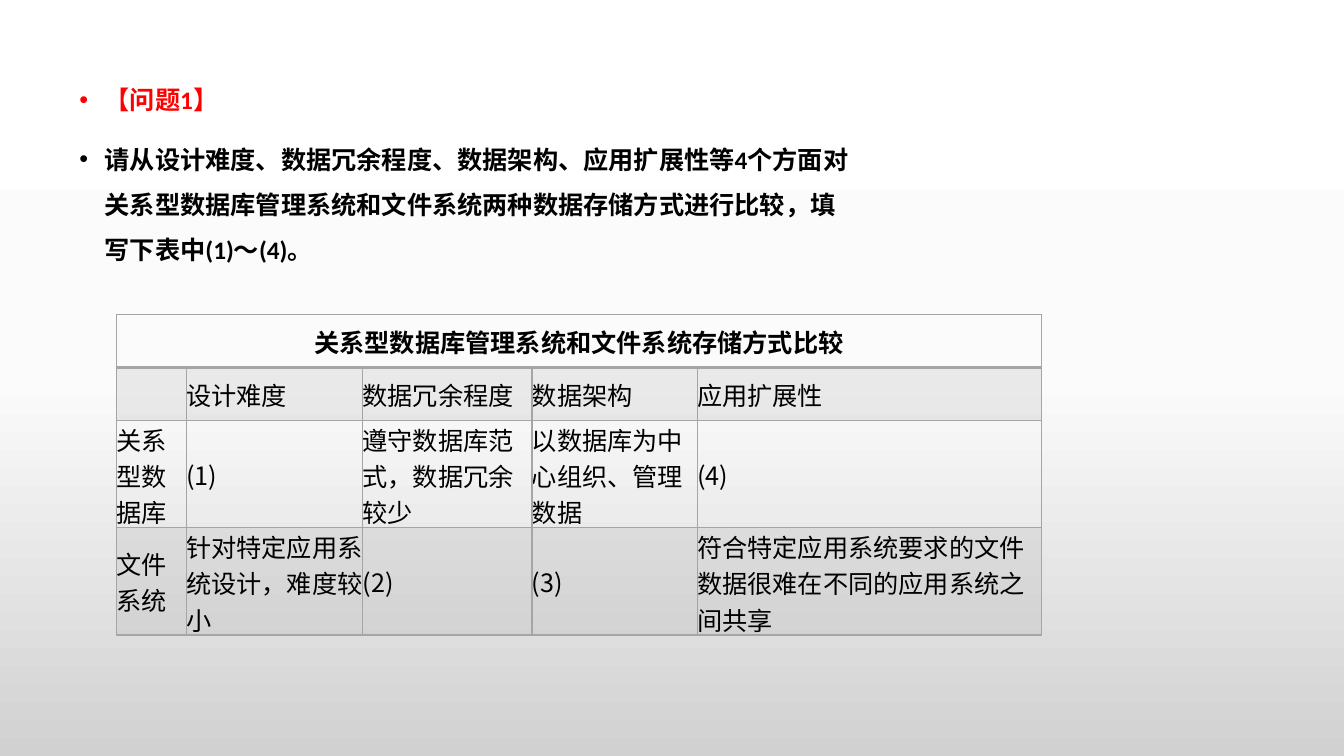
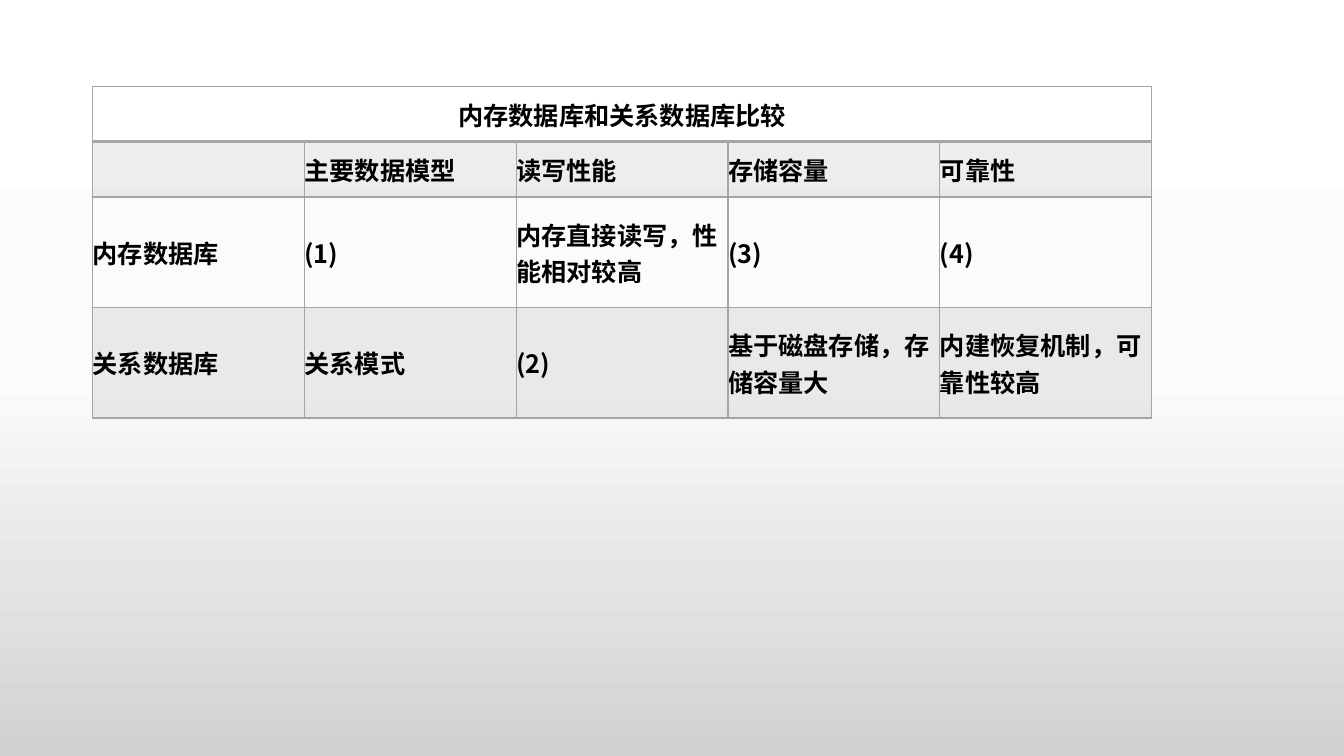
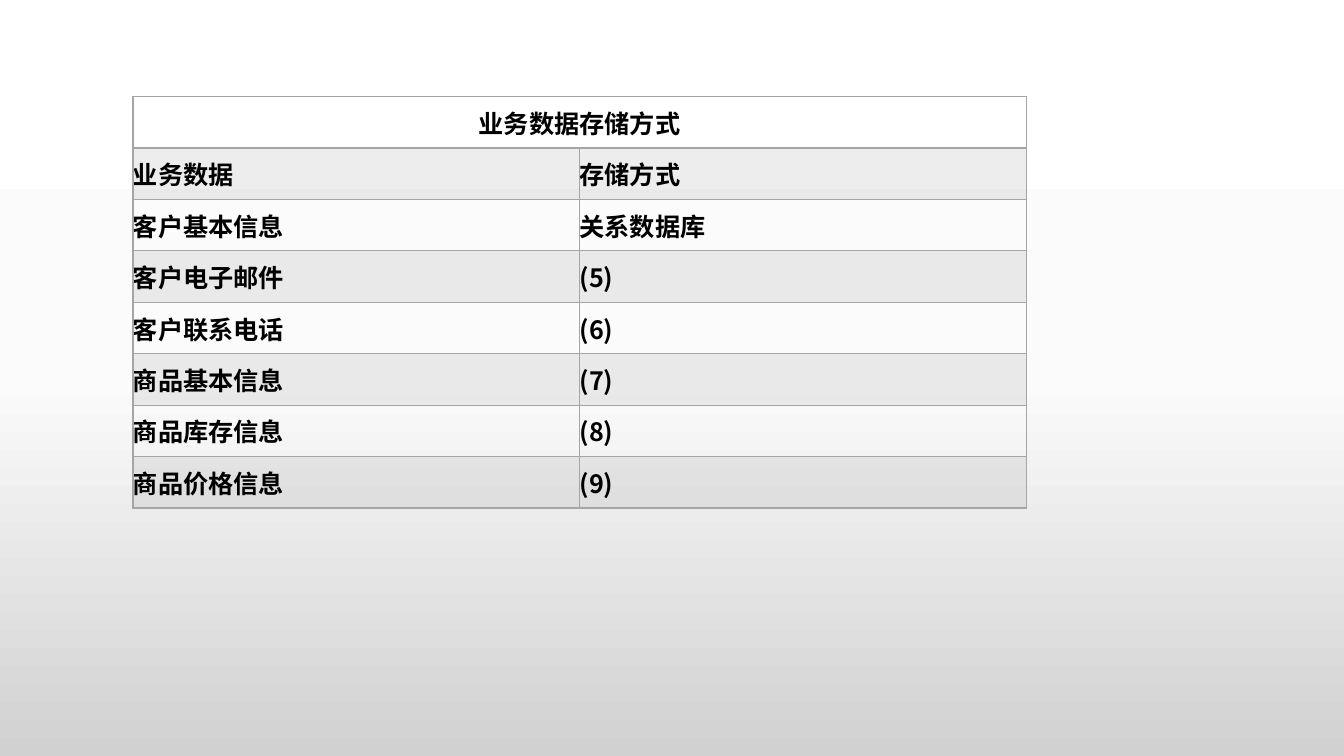
from copy import deepcopy

from pptx import Presentation
from pptx.dml.color import RGBColor
from pptx.enum.lang import MSO_LANGUAGE_ID
from pptx.enum.text import MSO_ANCHOR, PP_ALIGN
from pptx.oxml.ns import qn
from pptx.util import Pt
from lxml import etree

CENTER, LEFT = PP_ALIGN.CENTER, PP_ALIGN.LEFT
MIDDLE = MSO_ANCHOR.MIDDLE
CHINESE = MSO_LANGUAGE_ID.SIMPLIFIED_CHINESE

BLACK = RGBColor(0x00, 0x00, 0x00)
RED = RGBColor(0xFF, 0x00, 0x00)
GRAY = RGBColor(0xA5, 0xA5, 0xA5)
BACKGROUND_STOPS = [
    (0, RGBColor(0xFF, 0xFF, 0xFF)),
    (0.5, RGBColor(0xFB, 0xFB, 0xFB)),
    (1, RGBColor(0xD1, 0xD1, 0xD1)),
]
LATIN_FONT = "Calibri"
CHINESE_FONT = "Noto Sans CJK SC"


def add_run(paragraph, text, font_name, color, bold):
    run = paragraph.add_run()
    run.text = text
    font = run.font
    font.name, font.size, font.bold = font_name, Pt(18), bold
    font.color.rgb = color
    font.language_id = CHINESE
    east_asian = etree.Element(qn("a:ea"), typeface=CHINESE_FONT)
    run._r.rPr.find(qn("a:latin")).addnext(east_asian)


def add_border(cell, side, width):
    line = etree.SubElement(cell._tc.get_or_add_tcPr(), qn(f"a:ln{side}"), w=str(Pt(width)))
    fill = etree.SubElement(line, qn("a:solidFill"))
    etree.SubElement(fill, qn("a:srgbClr"), val=str(GRAY))


presentation = Presentation()
presentation.slide_width, presentation.slide_height = Pt(960), Pt(540)
blank_layout = presentation.slide_layouts[6]

# Shared background: vertical gradient on the master
master = presentation.slide_master
background = master.background.fill
background.gradient()
background.gradient_angle = 270
stop_list = master.element.find(".//" + qn("a:gsLst"))
stop_list.append(deepcopy(stop_list[-1]))
for stop, (position, color) in zip(background.gradient_stops, BACKGROUND_STOPS):
    stop.position = position
    stop.color.rgb = color

# Tables, one for each slide
tables = [
    {
        "left": 83, "top": 224.6, "bold": False,
        "columns": [50, 126, 121, 118, 246],
        "heights": [38, 38, 76.5, 76.5],
        "rows": [
            ["关系型数据库管理系统和文件系统存储方式比较"],
            ["", "设计难度", "数据冗余程度", "数据架构", "应用扩展性"],
            ["关系型数据库", "(1)", "遵守数据库范式，数据冗余较少",
             "以数据库为中心组织、管理数据", "(4)"],
            ["文件系统", "针对特定应用系统设计，难度较小", "(2)", "(3)",
             "符合特定应用系统要求的文件数据很难在不同的应用系统之间共享"],
        ],
    },
    {
        "left": 66.2, "top": 61.7, "bold": True,
        "columns": [151.3] * 5,
        "heights": [39.5, 39.5, 79, 79],
        "rows": [
            ["内存数据库和关系数据库比较"],
            ["", "主要数据模型", "读写性能", "存储容量", "可靠性"],
            ["内存数据库", "(1)", "内存直接读写，性能相对较高", "(3)", "(4)"],
            ["关系数据库", "关系模式", "(2)", "基于磁盘存储，存储容量大",
             "内建恢复机制，可靠性较高"],
        ],
    },
    {
        "left": 95, "top": 69, "bold": True,
        "columns": [319] * 2,
        "heights": [36.75] * 8,
        "rows": [
            ["业务数据存储方式"],
            ["业务数据", "存储方式"],
            ["客户基本信息", "关系数据库"],
            ["客户电子邮件", "(5)"],
            ["客户联系电话", "(6)"],
            ["商品基本信息", "(7)"],
            ["商品库存信息", "(8)"],
            ["商品价格信息", "(9)"],
        ],
    },
]

slides = [presentation.slides.add_slide(blank_layout) for _ in tables]

# Question text on the first slide
question_box = slides[0].shapes.add_textbox(Pt(49.7), Pt(46), Pt(566.6), Pt(366))
text_frame = question_box.text_frame
text_frame.word_wrap = True
questions = [
    ("【问题1】", RED),
    ("请从设计难度、数据冗余程度、数据架构、应用扩展性等4个方面对关系型数据库管理系统"
     "和文件系统两种数据存储方式进行比较，填写下表中(1)～(4)。", BLACK),
]
for index, (text, color) in enumerate(questions):
    paragraph = text_frame.add_paragraph() if index else text_frame.paragraphs[0]
    paragraph.line_spacing = 1.5
    paragraph.space_before = Pt(10)
    properties = paragraph._p.get_or_add_pPr()
    properties.set("marL", str(Pt(18)))
    properties.set("indent", str(-Pt(18)))
    etree.SubElement(properties, qn("a:buFont"), typeface="Arial")
    etree.SubElement(properties, qn("a:buChar"), char="•")
    add_run(paragraph, text, LATIN_FONT, color, True)

# Draw the tables: title row across, then shaded rows alternating with clear ones
for slide, content in zip(slides, tables):
    rows, columns, heights = content["rows"], content["columns"], content["heights"]
    table = slide.shapes.add_table(
        len(rows), len(columns), Pt(content["left"]), Pt(content["top"]),
        Pt(sum(columns)), Pt(sum(heights))).table
    table.first_row = table.horz_banding = False
    for column, width in zip(table.columns, columns):
        column.width = Pt(width)
    for row, height in zip(table.rows, heights):
        row.height = Pt(height)
    table.cell(0, 0).merge(table.cell(0, len(columns) - 1))

    for row_index, row in enumerate(table.rows):
        is_title = row_index == 0
        for column_index, cell in enumerate(row.cells):
            cell.vertical_anchor = MIDDLE
            cell.margin_left = cell.margin_right = cell.margin_top = cell.margin_bottom = 0
            for side in "LRTB":
                add_border(cell, side, 2 if is_title and side == "B" else 1)
            if row_index % 2:
                cell.fill.solid()
                cell.fill.fore_color.rgb = GRAY
                shade = cell._tc.tcPr.find(qn("a:solidFill")).find(qn("a:srgbClr"))
                etree.SubElement(shade, qn("a:alpha"), val="20000")
            else:
                cell.fill.background()
            texts = rows[row_index]
            if column_index < len(texts) and texts[column_index]:
                paragraph = cell.text_frame.paragraphs[0]
                paragraph.alignment = CENTER if is_title else LEFT
                add_run(paragraph, texts[column_index], CHINESE_FONT, BLACK,
                        is_title or content["bold"])

presentation.save("out.pptx")
